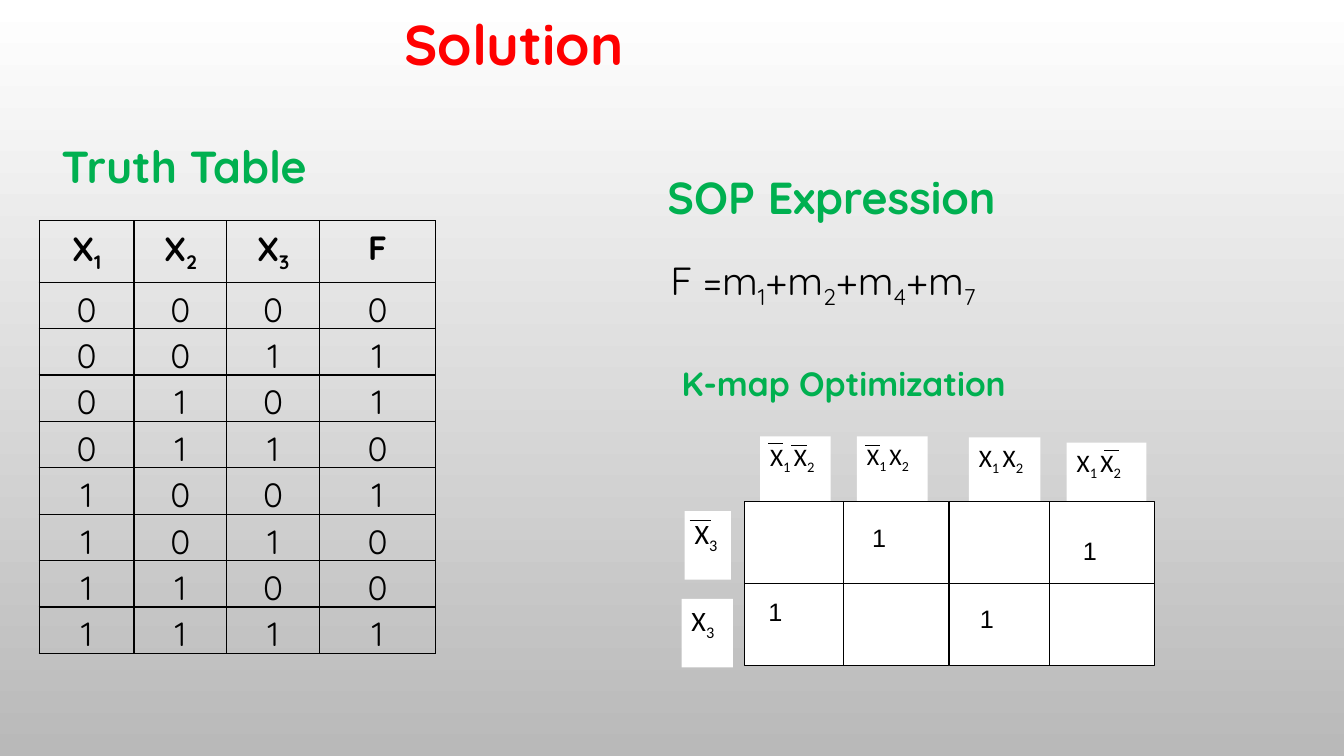
from lxml import etree
from pptx import Presentation
from pptx.dml.color import RGBColor
from pptx.enum.shapes import MSO_CONNECTOR as Connector, MSO_SHAPE as Shape
from pptx.enum.text import MSO_ANCHOR as Anchor, MSO_AUTO_SIZE as AutoSize, PP_ALIGN as Align
from pptx.oxml.ns import qn
from pptx.util import Inches, Pt

BLACK = RGBColor(0, 0, 0)
WHITE = RGBColor(255, 255, 255)
GREY = RGBColor(0xB9, 0xB9, 0xB9)
RED = RGBColor(255, 0, 0)
GREEN = RGBColor(0, 0xB0, 0x50)

# An underscore marks the next character as a subscript.
TITLE = ("Solution", (3.91, 0, 2.86, 0.81), 40)
# text, box, left inset, size, bold, colour
TEXTS = [
    ("Truth Table", (0.51, 1.29, 3.15, 0.67), 0.1, 32, True, GREEN),
    ("SOP Expression", (6.4, 1.6, 3.9, 0.67), 0.22, 32, True, GREEN),
    ("F =m_1+m_2+m_4+m_7", (6.55, 2.46, 3.71, 1.19), 0.1, 28, False, BLACK),
    ("K-map Optimization", (6.57, 3.52, 4.76, 0.53), 0.19, 24, True, GREEN),
]

TRUTH_HEADER = ["X_1", "X_2", "X_3", "F"]
MINTERMS = {1, 2, 4, 7}
TRUTH_BOX = (0.39, 2.19, 3.94, 3.97)
TRUTH_COLUMNS = [0.94, 0.92, 0.92, 1.15]
HEADER_HEIGHT, ROW_HEIGHT = 0.61, 0.42

# text, box, size
KMAP_LABELS = [
    ("X_1 X_2", (7.54, 4.33, 0.7, 0.68), 18),
    ("X_1 X_2", (8.5, 4.33, 0.7, 0.68), 17),
    ("X_1 X_2", (9.61, 4.34, 0.71, 0.68), 18),
    ("X_1 X_2", (10.58, 4.39, 0.79, 0.68), 18),
    ("X_3", (6.79, 5.07, 0.46, 0.68), 20),
    ("X_3", (6.76, 5.94, 0.51, 0.68), 20),
]
# left, top, width of each negation bar
NEGATIONS = [(7.62, 4.4, 0.15), (7.85, 4.42, 0.15), (8.58, 4.42, 0.15),
             (10.95, 4.47, 0.15), (6.84, 5.16, 0.21)]
KMAP_LEFTS, KMAP_TOPS = (7.38, 9.42), (4.98, 5.79)
PAIR_WIDTH, PAIR_HEIGHT, DIVIDER_OFFSET = 2.03, 0.81, 0.99
KMAP_ONES = [(8.41, 5.13), (10.5, 5.26), (7.38, 5.87), (9.48, 5.94)]


def inches(values):
    return [Inches(value) for value in values]


def write(frame, text, size, color=BLACK, font="Quicksand", bold=False, **layout):
    """Fill the first paragraph, setting subscripts where the text marks them."""
    para = frame.paragraphs[0]
    for name, value in layout.items():
        setattr(para, name, value)
    first, *rest = text.split("_")
    pieces = [(first, False)]
    for part in rest:
        cut = 2 if part[1:2] == " " else 1
        pieces += [(part[:cut], True), (part[cut:], False)]
    for piece, lowered in pieces:
        if not piece:
            continue
        span = para.add_run()
        span.text = piece
        for name, value in {"name": font, "size": Pt(size), "bold": bold}.items():
            setattr(span.font, name, value)
        span.font.color.rgb = color
        if lowered:
            span.font._element.set("baseline", "-25000")


def format_heading(box, text, size, color, bold=True, inset=0.1):
    frame = box.text_frame
    settings = {"word_wrap": True, "auto_size": AutoSize.SHAPE_TO_FIT_TEXT,
                "vertical_anchor": Anchor.TOP, "margin_left": Inches(inset)}
    for name, value in settings.items():
        setattr(frame, name, value)
    write(frame, text, size, color, bold=bold, alignment=Align.LEFT,
          line_spacing=1.07, space_after=Pt(8))


def add_box(page, box, outlined=False):
    shape = page.shapes.add_shape(Shape.RECTANGLE, *inches(box))
    shape.shadow.inherit = False
    shape.fill.solid()
    shape.fill.fore_color.rgb = WHITE
    if outlined:
        shape.line.color.rgb = BLACK
        shape.line.width = Pt(0.75)
    else:
        shape.line.fill.background()
    return shape


def add_line(page, left, top, width=0, height=0):
    line = page.shapes.add_connector(
        Connector.STRAIGHT, *inches((left, top, left + width, top + height)))
    line.line.color.rgb = BLACK
    line.line.width = Pt(0.75)
    etree.SubElement(line._element.spPr, qn("a:effectLst"))


def add_borders(cell):
    properties = cell._tc.get_or_add_tcPr()
    for side in ("lnL", "lnR", "lnT", "lnB"):
        edge = etree.SubElement(properties, qn(f"a:{side}"), w=str(Pt(1)))
        fill = etree.SubElement(edge, qn("a:solidFill"))
        etree.SubElement(fill, qn("a:srgbClr"), val=str(BLACK))


def add_truth_table(page):
    rows = [TRUTH_HEADER]
    for number in range(8):
        rows.append([*f"{number:03b}", str(int(number in MINTERMS))])
    table = page.shapes.add_table(len(rows), len(TRUTH_HEADER), *inches(TRUTH_BOX)).table
    table.first_row = table.horz_banding = False
    for column, width in zip(table.columns, TRUTH_COLUMNS):
        column.width = Inches(width)
    for index, values in enumerate(rows):
        table.rows[index].height = Inches(ROW_HEIGHT if index else HEADER_HEIGHT)
        for cell, value in zip(table.rows[index].cells, values):
            cell.margin_left = cell.margin_right = Inches(0.07)
            cell.margin_top = cell.margin_bottom = 0
            add_borders(cell)
            cell.fill.background()
            write(cell.text_frame, value, 24, bold=index == 0,
                  alignment=Align.CENTER, line_spacing=1.15)


def add_kmap(page):
    for text, box, size in KMAP_LABELS:
        frame = add_box(page, box).text_frame
        frame.word_wrap = False
        frame.vertical_anchor = Anchor.TOP
        write(frame, text, size, font="Calibri", alignment=Align.LEFT, space_after=Pt(10))
    for left in KMAP_LEFTS:
        for top in KMAP_TOPS:
            add_box(page, (left, top, PAIR_WIDTH, PAIR_HEIGHT), outlined=True)
            add_line(page, left + DIVIDER_OFFSET, top, height=PAIR_HEIGHT)
    for left, top, width in NEGATIONS:
        add_line(page, left, top, width=width)
    for left, top in KMAP_ONES:
        frame = page.shapes.add_textbox(*inches((left, top, 0.8, 0.52))).text_frame
        frame.word_wrap = True
        frame.margin_left = Inches(0.24)
        write(frame, "1", 18, font="Arial", space_after=Pt(10))


def main():
    deck = Presentation()
    deck.slide_width, deck.slide_height = inches((13.33, 7.5))
    page = deck.slides.add_slide(deck.slide_layouts[5])

    backdrop = page.background.fill
    backdrop.gradient()
    backdrop.gradient_angle = 270
    for stop, color in zip(backdrop.gradient_stops, (WHITE, GREY)):
        stop.color.rgb = color

    text, box, size = TITLE
    title = page.shapes.title
    title.left, title.top, title.width, title.height = inches(box)
    format_heading(title, text, size, RED)

    add_truth_table(page)
    for text, box, inset, size, bold, color in TEXTS:
        format_heading(page.shapes.add_textbox(*inches(box)), text, size, color, bold, inset)
    add_kmap(page)
    deck.save("out.pptx")


if __name__ == "__main__":
    main()
